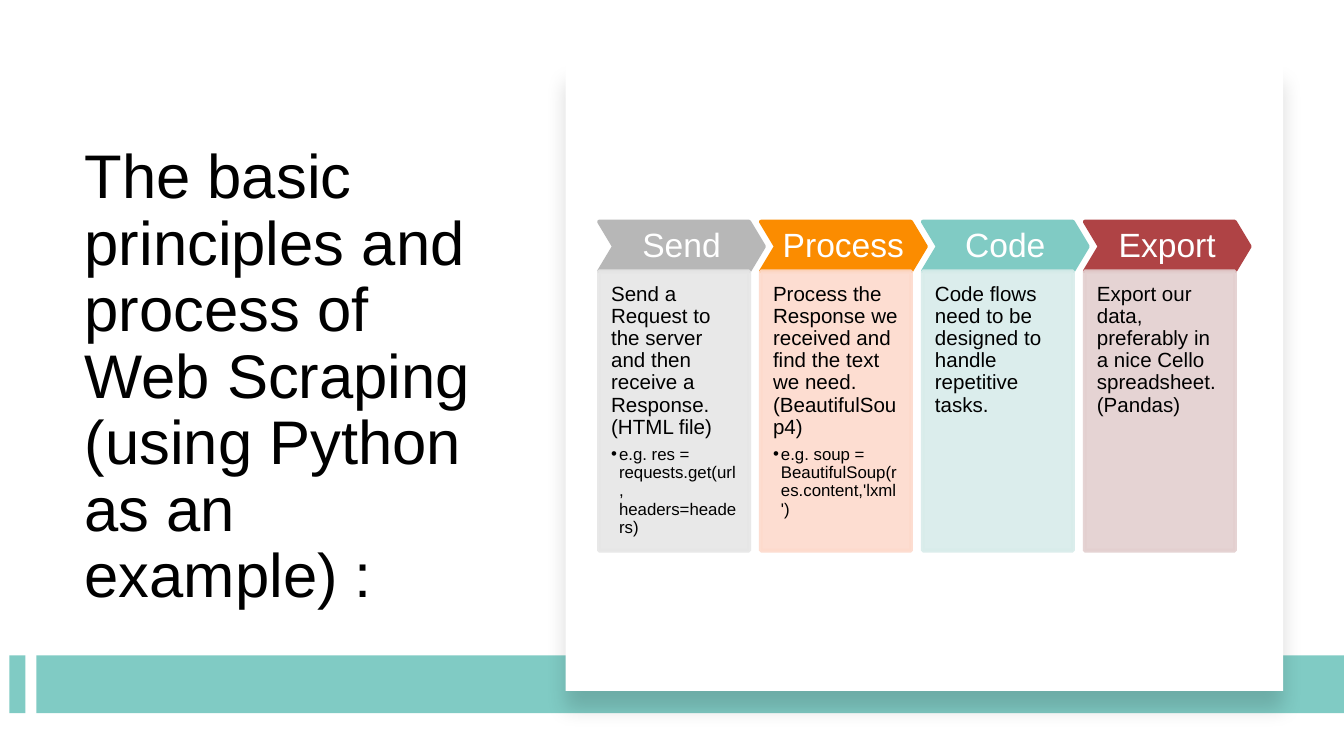
from dataclasses import dataclass

from lxml.etree import SubElement
from pptx import Presentation
from pptx.dml.color import RGBColor
from pptx.enum.shapes import MSO_SHAPE
from pptx.enum.text import MSO_ANCHOR, PP_ALIGN
from pptx.oxml.ns import qn
from pptx.util import Cm, Pt


@dataclass(frozen=True)
class Theme:
    font: str = "Arial"
    ink: str = "000000"
    paper: str = "FFFFFF"
    accent: str = "80CBC4"
    title: int = 33
    heading: int = 18
    body: int = 11
    example: int = 9
    steps: tuple = (
        ("B7B7B7", "E6E6E6"),
        ("FB8C00", "FDDACC"),
        ("80CBC4", "D8ECEA"),
        ("AF4345", "E3CFCF"),
    )


theme = Theme()


def add_block(page, kind, left, top, width, height, color, outlined=False):
    block = page.shapes.add_shape(kind, Cm(left), Cm(top), Cm(width), Cm(height))
    block.shadow.inherit = False
    block.fill.solid()
    block.fill.fore_color.rgb = RGBColor.from_string(color)
    if outlined:
        block.line.color.rgb = RGBColor.from_string(color)
        block.line.width = Pt(2)
    else:
        block.line.fill.background()
    return block


def write(para, text, size, color, align=PP_ALIGN.LEFT, after=0):
    para.text = text
    para.alignment = align
    para.line_spacing = 0.9
    para.space_after = Pt(after)
    for span in para.runs:
        span.font.name = theme.font
        span.font.size = Pt(size)
        span.font.color.rgb = RGBColor.from_string(color)


deck = Presentation()
deck.slide_width = Cm(25.4)
deck.slide_height = Cm(14.29)
page = deck.slides.add_slide(deck.slide_layouts[6])

title_box = page.shapes.add_textbox(Cm(1.35), Cm(2.29), Cm(7.9), Cm(9.73))
title_box.text_frame.word_wrap = True
title_box.text_frame.vertical_anchor = MSO_ANCHOR.MIDDLE
title = "The basic principles and process of Web Scraping\n(using Python as an example) :"
write(title_box.text_frame.paragraphs[0], title, theme.title, theme.ink)

for left, width in ((0.18, 0.3), (0.69, 24.71)):
    add_block(page, MSO_SHAPE.RECTANGLE, left, 12.39, width, 1.09, theme.accent)

panel = add_block(page, MSO_SHAPE.RECTANGLE, 10.69, 1.22, 13.56, 11.84, theme.paper)
effects = panel._element.spPr.find(qn("a:effectLst"))
shadow = SubElement(
    effects, qn("a:outerShdw"), blurRad=str(Pt(11)), dist=str(Pt(10)),
    dir="5400000", algn="t", rotWithShape="0",
)
shade = SubElement(shadow, qn("a:srgbClr"), val=theme.ink)
SubElement(shade, qn("a:alpha"), val="15000")

steps = (
    ("Send",
     "Send a Request to the server and then receive a Response. (HTML file)",
     "e.g. res = requests.get(url, headers=headers)"),
    ("Process",
     "Process the Response we received and find the text we need. (BeautifulSoup4)",
     "e.g. soup = BeautifulSoup(res.content,'lxml')"),
    ("Code",
     "Code flows need to be designed to handle repetitive tasks.",
     None),
    ("Export",
     "Export our data, preferably in a nice Cello spreadsheet. (Pandas)",
     None),
)

for index, ((heading, detail, example), (strong, pale)) in enumerate(zip(steps, theme.steps)):
    left = 11.32 + index * 3.06

    chevron = add_block(page, MSO_SHAPE.CHEVRON, left, 4.19, 3.12, 0.94, strong, True)
    chevron.adjustments[0] = 0.3
    frame = chevron.text_frame
    frame.word_wrap = True
    frame.vertical_anchor = MSO_ANCHOR.MIDDLE
    frame.margin_left = frame.margin_right = Cm(0.13)
    frame.margin_top = frame.margin_bottom = Cm(0.13)
    write(frame.paragraphs[0], heading, theme.heading, theme.paper, PP_ALIGN.CENTER)

    card = add_block(page, MSO_SHAPE.RECTANGLE, left, 5.13, 2.84, 5.28, pale, True)
    for color in card._element.spPr.iter(qn("a:srgbClr")):
        SubElement(color, qn("a:alpha"), val="90000")
    frame = card.text_frame
    frame.word_wrap = True
    frame.vertical_anchor = MSO_ANCHOR.TOP
    frame.margin_left = frame.margin_right = frame.margin_top = Cm(0.23)
    frame.margin_bottom = Cm(0.46)
    write(frame.paragraphs[0], detail, theme.body, theme.ink, after=3.85)

    if example:
        para = frame.add_paragraph()
        write(para, example, theme.example, theme.ink, after=1.35)
        para.level = 1
        props = para._p.get_or_add_pPr()
        props.set("marL", str(Cm(0.15)))
        props.set("indent", str(Cm(-0.15)))
        bullet_color = SubElement(props, qn("a:buClr"))
        SubElement(bullet_color, qn("a:srgbClr"), val=theme.ink)
        SubElement(props, qn("a:buFont"), typeface=theme.font)
        SubElement(props, qn("a:buChar"), char="•")

deck.save("out.pptx")
